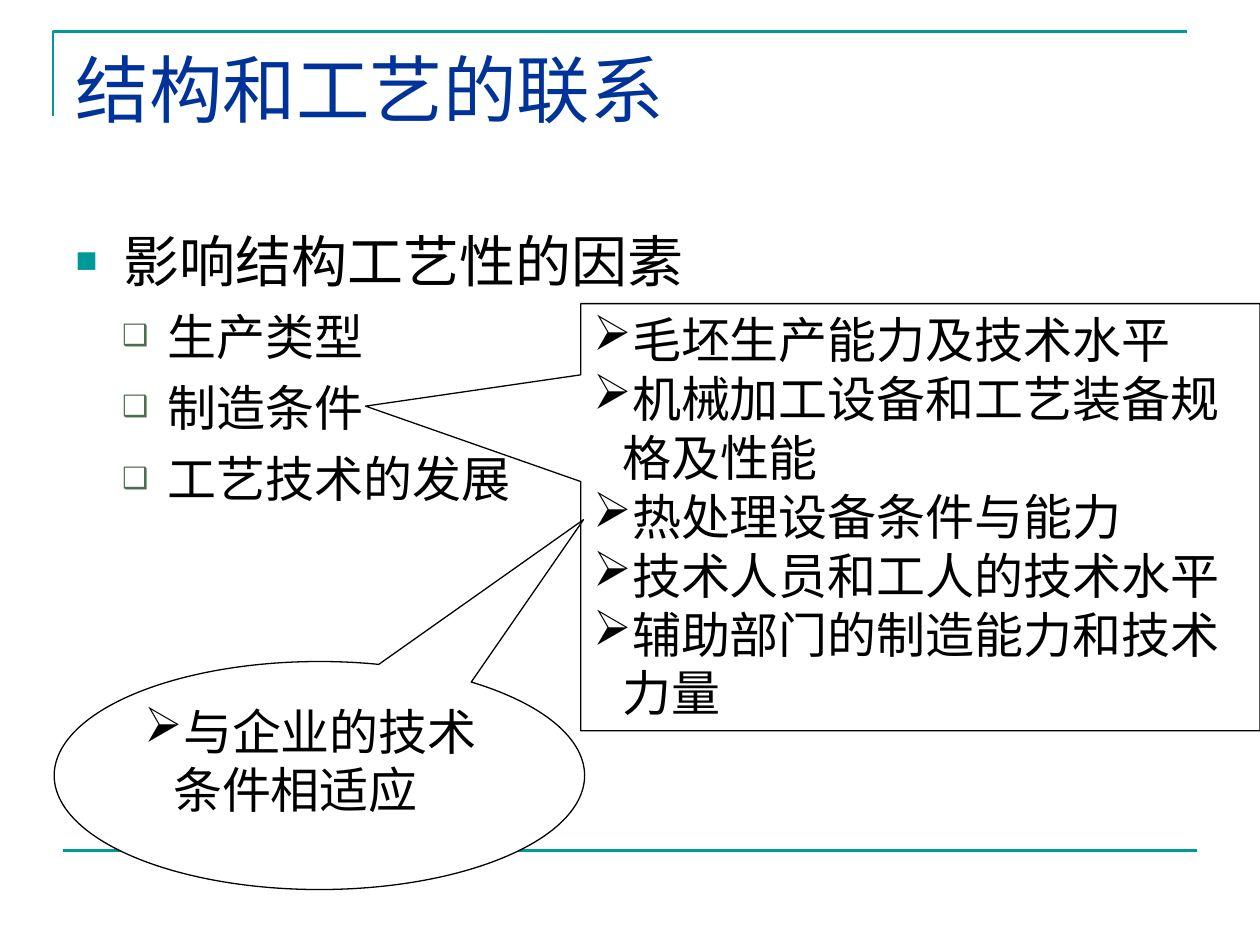
from dataclasses import dataclass

from lxml.etree import SubElement
from pptx import Presentation
from pptx.dml.color import RGBColor
from pptx.enum.shapes import MSO_CONNECTOR as Connector, MSO_SHAPE as Shape
from pptx.enum.text import MSO_ANCHOR as Anchor, MSO_AUTO_SIZE as AutoSize, PP_ALIGN as Align
from pptx.oxml.ns import qn
from pptx.util import Inches, Pt

CELL = Inches(0.5)  # the slide is a grid of 20 columns by 15 rows
COLS, ROWS = 20, 15


@dataclass(frozen=True)
class Theme:
    accent: str = "009999"
    title: str = "003399"
    text: str = "000000"
    paper: str = "FFFFFF"
    sub_bullet: str = "4C6D4E"
    title_font: str = "Times New Roman"
    body_font: str = "Noto Sans CJK SC"
    note_font: str = "Arial"
    title_size: int = 42
    body_size: int = 32
    small_size: int = 28
    rule: float = 1.5
    outline: float = 0.75


@dataclass(frozen=True)
class Bullet:
    char: str
    color: str
    percent: int
    left: float
    hang: float


@dataclass(frozen=True)
class Box:
    col: float
    row: float
    cols: float
    rows: float

    def emu(self):
        return [int(v * CELL) for v in (self.col, self.row, self.cols, self.rows)]


T = Theme()
MAIN = Bullet("■", T.accent, 65, 0.38, 0.38)
SUB = Bullet("❑", T.sub_bullet, 60, 0.73, 0.36)
NOTE = Bullet("➢", T.text, 100, 0.23, 0.23)


def rgb(color):
    return RGBColor.from_string(color)


def style_line(sp, color, width):
    sp.line.color.rgb = rgb(color)
    sp.line.width = Pt(width)


def place(sp, box):
    sp.left, sp.top, sp.width, sp.height = box.emu()


def set_frame(tf):
    tf.word_wrap = True
    tf.auto_size = AutoSize.NONE
    tf.vertical_anchor = Anchor.TOP
    tf.margin_left = tf.margin_right = Inches(0.1)
    tf.margin_top = tf.margin_bottom = Inches(0.05)


def set_bullet(p, bullet):
    pPr = p._p.get_or_add_pPr()
    pPr.set("marL", str(Inches(bullet.left)))
    pPr.set("indent", str(-Inches(bullet.hang)))
    color = SubElement(pPr, qn("a:buClr"))
    SubElement(color, qn("a:srgbClr"), val=bullet.color)
    SubElement(pPr, qn("a:buSzPct"), val=str(bullet.percent * 1000))
    SubElement(pPr, qn("a:buChar"), char=bullet.char)


def add_text(p, text, size, font, color, before=0):
    p.alignment = Align.LEFT
    p.space_before = Pt(before)
    r = p.add_run()
    r.text = text
    r.font.size = Pt(size)
    r.font.name = font
    r.font.color.rgb = rgb(color)
    SubElement(r._r.get_or_add_rPr(), qn("a:ea"), typeface=T.body_font)


def paragraphs(tf, items):
    """Yield one paragraph per item, starting with the frame's own."""
    for i, item in enumerate(items):
        yield (tf.paragraphs[0] if i == 0 else tf.add_paragraph()), item


def add_frame_lines(slide, corner, footer):
    # Corner line round the title
    x, y, w, h = corner.emu()
    path = slide.shapes.build_freeform(x, y + h)
    path.add_line_segments([(x, y), (x + w, y)], close=False)
    sp = path.convert_to_shape()
    sp.shadow.inherit = False
    sp.fill.background()
    style_line(sp, T.accent, T.rule)
    # Line at the foot
    x, y, w, h = footer.emu()
    rule = slide.shapes.add_connector(Connector.STRAIGHT, x, y, x + w, y + h)
    SubElement(rule._element.spPr, qn("a:effectLst"))
    style_line(rule, T.accent, T.rule)


def add_title(slide, box, text):
    sp = slide.shapes.title
    place(sp, box)
    set_frame(sp.text_frame)
    add_text(sp.text_frame.paragraphs[0], text, T.title_size, T.title_font, T.title)


def add_body(slide, box, heading, points):
    sp = slide.placeholders[1]
    place(sp, box)
    tf = sp.text_frame
    set_frame(tf)
    for p, text in paragraphs(tf, [heading, *points]):
        top = text == heading
        p.level = 0 if top else 1
        set_bullet(p, MAIN if top else SUB)
        add_text(p, text, T.body_size if top else T.small_size,
                 T.body_font, T.text, 0 if top else 7)


def add_callout(slide, box, kind, tip, notes):
    sp = slide.shapes.add_shape(kind, *box.emu())
    sp.shadow.inherit = False
    sp.adjustments[0], sp.adjustments[1] = tip
    sp.fill.solid()
    sp.fill.fore_color.rgb = rgb(T.paper)
    style_line(sp, T.text, T.outline)
    set_frame(sp.text_frame)
    for p, text in paragraphs(sp.text_frame, notes):
        set_bullet(p, NOTE)
        add_text(p, text, T.small_size, T.note_font, T.text)


def main():
    prs = Presentation()
    prs.slide_width, prs.slide_height = COLS * CELL, ROWS * CELL
    slide = prs.slides.add_slide(prs.slide_layouts[1])
    add_frame_lines(slide, Box(0.84, 0.5, 18, 1.34), Box(1, 13.5, 18, 0))
    add_title(slide, Box(1, 0.6, 18, 2.5), "结构和工艺的联系")
    add_body(slide, Box(1, 3.5, 18, 9.9), "影响结构工艺性的因素",
             ["生产类型", "制造条件", "工艺技术的发展"])
    # Details of the manufacturing conditions
    add_callout(slide, Box(9.22, 4.82, 10.78, 6.78), Shape.RECTANGULAR_CALLOUT,
                (-0.817, -0.26),
                ["毛坯生产能力及技术水平", "机械加工设备和工艺装备规格及性能",
                 "热处理设备条件与能力", "技术人员和工人的技术水平",
                 "辅助部门的制造能力和技术力量"])
    # Remark on those details
    add_callout(slide, Box(0.86, 10.5, 8.42, 3.62), Shape.OVAL_CALLOUT,
                (0.498, -1.122), ["与企业的技术条件相适应"])
    prs.save("out.pptx")


if __name__ == "__main__":
    main()
